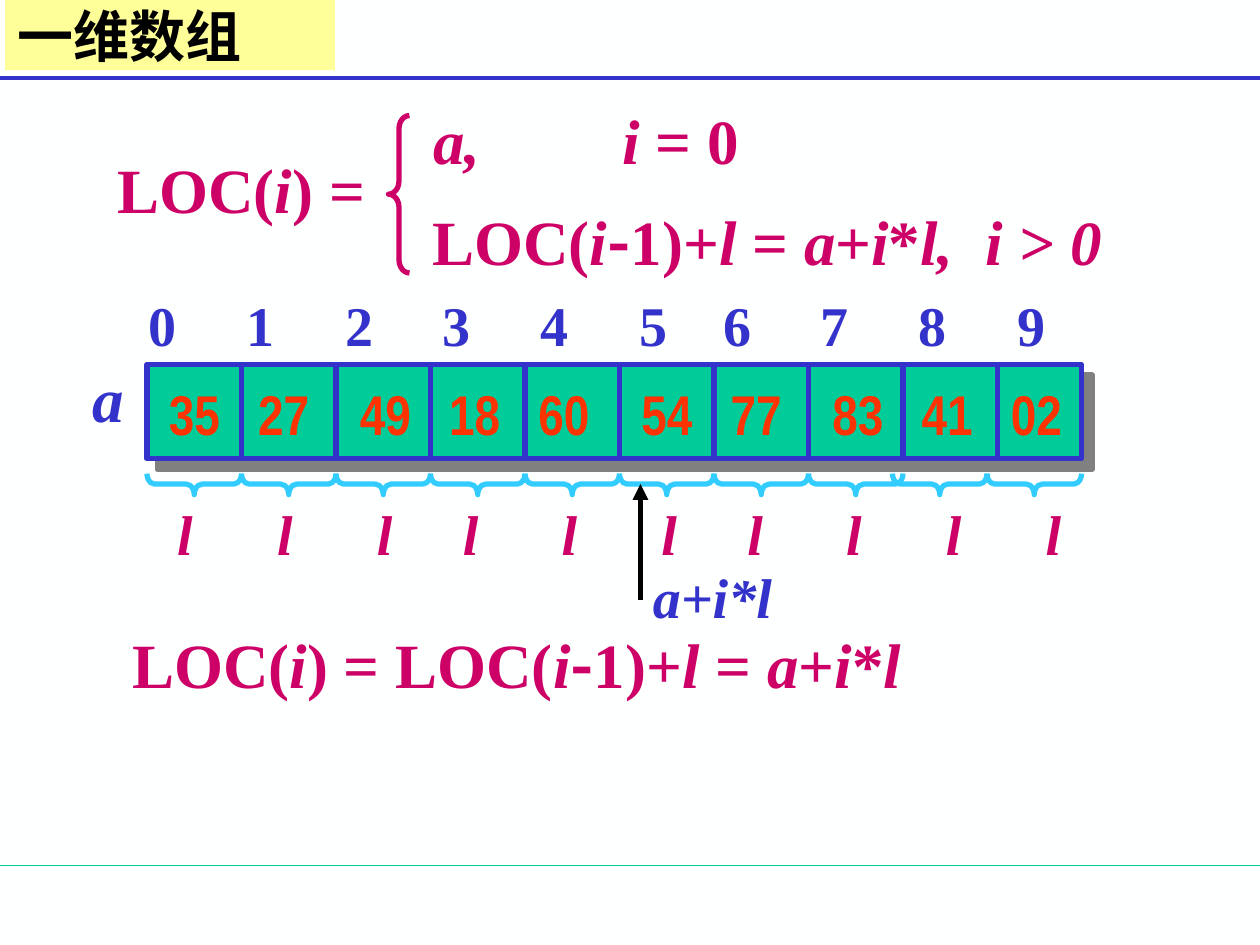
from dataclasses import dataclass

from lxml.etree import SubElement
from pptx import Presentation
from pptx.dml.color import RGBColor
from pptx.enum.shapes import MSO_CONNECTOR as CONN, MSO_SHAPE as SHAPE
from pptx.enum.text import MSO_ANCHOR
from pptx.oxml.ns import qn
from pptx.util import Emu, Pt

PX = 7620  # EMU per px, 120 px to the inch

WHITE = RGBColor(0xFE, 0xFF, 0xFF)
BLACK = RGBColor(0x00, 0x00, 0x00)
BLUE = RGBColor(0x33, 0x33, 0xCC)
GREEN = RGBColor(0x00, 0xCC, 0x99)
YELLOW = RGBColor(0xFF, 0xFF, 0x99)
ORANGE = RGBColor(0xFF, 0x33, 0x00)
CYAN = RGBColor(0x33, 0xCC, 0xFF)
MAGENTA = RGBColor(0xCC, 0x00, 0x66)

SERIF = "Times New Roman"
NARROW = "Arial Narrow"
CJK = "Noto Sans CJK SC"

CELL, COUNT = 90, 10
ARRAY_X, ARRAY_Y, ARRAY_W = 140, 347, 890
BRACE_DEPTH, BRACE_Y = 20, 451


@dataclass
class Label:
    """Bold text; every second part between underscores is italic."""
    x: int
    y: int
    w: int
    h: int
    text: str
    color: RGBColor
    size: int = 36
    font: str = SERIF
    tabs: tuple[int, ...] = ()


@dataclass
class Rule:
    x1: int
    y1: int
    x2: int
    y2: int
    color: RGBColor
    weight: float = 3
    arrow: bool = False


@dataclass
class Brace:
    x: int
    y: int
    w: int
    h: int
    color: RGBColor
    curve: float
    rotation: int = 0


def px(*lengths: int) -> list[Emu]:
    return [Emu(n * PX) for n in lengths]


def write_text(tf, label: Label) -> None:
    tf.word_wrap = True
    tf.margin_left, tf.margin_right, tf.margin_top, tf.margin_bottom = px(12, 0, 6, 6)
    p = tf.paragraphs[0]
    if label.tabs:
        tab_list = SubElement(p._p.get_or_add_pPr(), qn("a:tabLst"))
        for pos in label.tabs:
            SubElement(tab_list, qn("a:tab"), pos=str(pos * PX), algn="l")
    for n, piece in enumerate(label.text.split("_")):
        for part in filter(None, piece.partition("-")):
            r = p.add_run()
            r.text = part
            r.font.size = Pt(label.size)
            r.font.bold = True
            r.font.italic = n % 2 == 1
            r.font.color.rgb = label.color
            r.font.name = CJK if part == "-" else label.font
            SubElement(r._r.get_or_add_rPr(), qn("a:ea"), typeface=CJK)


def add_label(s, label: Label) -> None:
    box = s.shapes.add_textbox(*px(label.x, label.y, label.w, label.h))
    write_text(box.text_frame, label)


def add_rule(s, rule: Rule) -> None:
    line = s.shapes.add_connector(CONN.STRAIGHT, *px(rule.x1, rule.y1, rule.x2, rule.y2))
    line.line.color.rgb = rule.color
    line.line.width = Pt(rule.weight)
    if rule.arrow:
        SubElement(line.line._get_or_add_ln(), qn("a:tailEnd"), type="triangle")
    SubElement(line._element.spPr, qn("a:effectLst"))


def add_rect(s, x: int, y: int, w: int, h: int, fill: RGBColor):
    sp = s.shapes.add_shape(SHAPE.RECTANGLE, *px(x, y, w, h))
    sp.shadow.inherit = False
    sp.fill.solid()
    sp.fill.fore_color.rgb = fill
    sp.line.fill.background()
    return sp


def add_brace(s, brace: Brace) -> None:
    sp = s.shapes.add_shape(SHAPE.LEFT_BRACE, *px(brace.x, brace.y, brace.w, brace.h))
    sp.shadow.inherit = False
    sp.fill.background()
    sp.line.color.rgb = brace.color
    sp.line.width = Pt(3)
    sp.adjustments[0] = brace.curve
    sp.rotation = brace.rotation


def brace_under(left: int) -> Brace:
    """Brace opening upwards, one cell wide, starting at left."""
    shift = (CELL - BRACE_DEPTH) // 2
    return Brace(left + shift, BRACE_Y - shift, BRACE_DEPTH, CELL, CYAN, 0.375, 270)


def add_array(s) -> None:
    sp = add_rect(s, ARRAY_X, ARRAY_Y, ARRAY_W, CELL, GREEN)
    sp.line.color.rgb = BLUE
    sp.line.width = Pt(3)
    effects = sp._element.spPr.find(qn("a:effectLst"))
    shadow = SubElement(effects, qn("a:outerShdw"), blurRad="0", dist=str(Pt(8.5)),
                        dir="2700000", algn="ctr", rotWithShape="0")
    SubElement(shadow, qn("a:srgbClr"), val="808080")


VALUES = Label(149, 356, 876, 77, "35\t27\t49\t18\t60\t54\t77\t83\t41\t02", ORANGE, 32,
               NARROW, (85, 182, 267, 352, 450, 535, 632, 717, 802))
LABELS = [
    # Indices above and element lengths below the array
    Label(130, 271, 878, 77, "\t".join(map(str, range(COUNT))), BLUE, 32,
          tabs=(93, 187, 280, 373, 467, 547, 640, 733, 827)),
    Label(157, 470, 880, 77, "_" + "\t".join("l" * COUNT), MAGENTA, 32,
          tabs=(95, 190, 272, 366, 461, 543, 637, 732, 827)),
    # Formulas
    Label(114, 590, 1007, 84, "LOC(_i_) = LOC(_i_-1)+_l_ = _a_+_i_*_l", MAGENTA),
    Label(100, 137, 270, 84, "LOC(_i_) =", MAGENTA),
    Label(400, 187, 690, 84, "LOC(_i_-1)+_l_ = _a_+_i_*_l,\ti > 0", MAGENTA, tabs=(527,)),
    Label(401, 91, 390, 84, "_a,\ti _= 0", MAGENTA, tabs=(180,)),
    # Address and array name
    Label(610, 530, 137, 77, "_a+i*l", BLUE, 32),
    Label(76, 337, 54, 84, "_a", BLUE),
]


def main() -> None:
    prs = Presentation()
    prs.slide_width, prs.slide_height = px(1200, 900)
    s = prs.slides.add_slide(prs.slide_layouts[6])
    s.background.fill.solid()
    s.background.fill.fore_color.rgb = WHITE

    # Page rules and title
    add_rule(s, Rule(0, 824, 1200, 824, GREEN, 0.75))
    add_rule(s, Rule(0, 74, 1200, 74, BLUE, 2.25))
    title = Label(5, 0, 314, 67, "一维数组", BLACK, 32, CJK)
    sp = add_rect(s, title.x, title.y, title.w, title.h, YELLOW)
    write_text(sp.text_frame, title)
    sp.text_frame.vertical_anchor = MSO_ANCHOR.MIDDLE
    sp.text_frame.paragraphs[0].alignment = 1

    # Array with its cells
    add_array(s)
    add_label(s, VALUES)
    for i in range(1, COUNT):
        x = ARRAY_X + i * CELL
        add_rule(s, Rule(x, ARRAY_Y, x, ARRAY_Y + CELL, BLUE))

    # Braces: the last two are aligned to the array's right edge
    for i in range(COUNT):
        start = ARRAY_X if i < COUNT - 2 else ARRAY_X + ARRAY_W - COUNT * CELL
        add_brace(s, brace_under(start + i * CELL))
    add_brace(s, Brace(370, 110, 20, 150, MAGENTA, 0.625))

    # Captions, formulas and the address arrow
    for label in LABELS:
        add_label(s, label)
    add_rule(s, Rule(610, 571, 610, 461, BLACK, arrow=True))

    prs.save("out.pptx")


if __name__ == "__main__":
    main()
